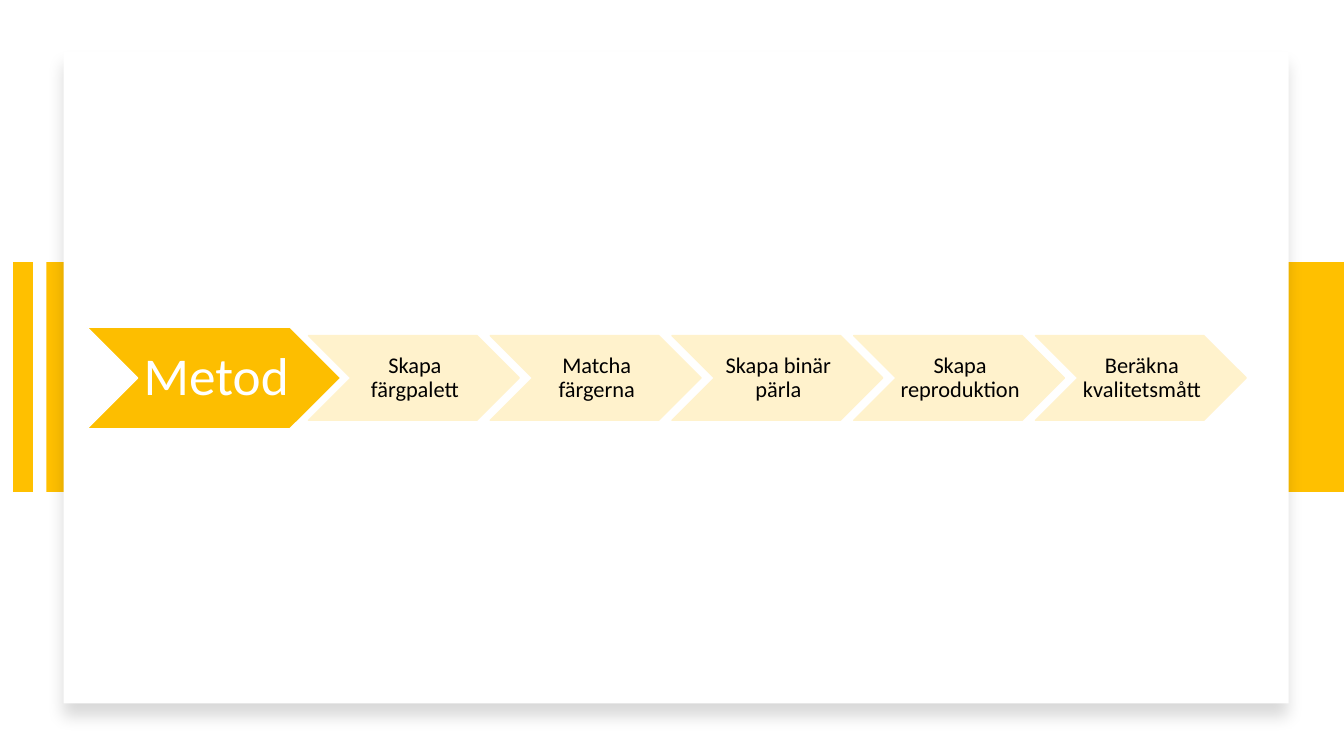
from dataclasses import dataclass
from lxml import etree
from pptx import Presentation
from pptx.dml.color import RGBColor as RGB
from pptx.enum.shapes import MSO_CONNECTOR as CONN, MSO_SHAPE as SHAPE
from pptx.enum.text import MSO_ANCHOR as ANCHOR, PP_ALIGN as ALIGN
from pptx.oxml import parse_xml
from pptx.oxml.ns import nsdecls, qn
from pptx.util import Inches, Pt

# Content
HEADING = "Metod"
STEPS = [
    "Skapa färgpalett",
    "Matcha färgerna",
    "Skapa binär pärla",
    "Skapa reproduktion",
    "Beräkna kvalitetsmått",
]


@dataclass(frozen=True)
class Theme:
    gold: str = "FFC000"
    heading_fill: str = "FDBE00"
    step_fill: str = "FFF2CC"
    white: str = "FFFFFF"
    black: str = "000000"
    font: str = "Calibri"
    heading_size: int = 38
    step_size: int = 16


T = Theme()

# Layout in inches
BAND_TOP, BAND_HEIGHT, BAND_LEFT = 2.6, 2.28, 0.46
STRIPE_X, STRIPE_WIDTH = 0.23, 14
CARD = (0.63, 0.51, 12.15, 6.47)
MIDDLE = 3.75
HEADING_LEFT, HEADING_SIZE = 0.86, (2.52, 1.01)
STEP_LEFT, STEP_PITCH, STEP_SIZE = 3.06, 1.8025, (2.09, 0.84)


def add_box(slide, kind, box, fill, line=None):
    sp = slide.shapes.add_shape(kind, *map(Inches, box))
    sp.shadow.inherit = False
    sp.fill.solid()
    sp.fill.fore_color.rgb = RGB.from_string(fill)
    if line:
        sp.line.color.rgb = RGB.from_string(line)
        sp.line.width = Pt(1)
    else:
        sp.line.fill.background()
    return sp


def set_text(sp, text, *, size, color, inset_x, inset_y):
    tf = sp.text_frame
    tf.word_wrap = True
    tf.vertical_anchor = ANCHOR.MIDDLE
    tf.margin_left, tf.margin_right = Inches(inset_x), 0
    tf.margin_top = tf.margin_bottom = Inches(inset_y)
    p = tf.paragraphs[0]
    p.alignment = ALIGN.CENTER
    p.line_spacing = 0.9
    r = p.add_run()
    r.text = text
    r.font.name = T.font
    r.font.size = Pt(size)
    r.font.color.rgb = RGB.from_string(color)


def add_chevron(slide, left, size, fill, line):
    width, height = size
    box = (left, MIDDLE - height / 2, width, height)
    return add_box(slide, SHAPE.CHEVRON, box, fill, line)


def add_soft_shadow(sp):
    effects = sp._element.spPr.find(qn("a:effectLst"))
    effects.append(parse_xml(
        f'<a:outerShdw {nsdecls("a")} blurRad="{Pt(11)}" dist="{Pt(10)}" '
        f'dir="5400000" algn="t" rotWithShape="0"><a:srgbClr val="{T.black}">'
        '<a:alpha val="15000"/></a:srgbClr></a:outerShdw>'))


def main():
    prs = Presentation()
    prs.slide_width, prs.slide_height = Inches(13.33), Inches(7.5)
    slide = prs.slides.add_slide(prs.slide_layouts[6])

    # Gold band and stripe
    add_box(slide, SHAPE.RECTANGLE,
            (BAND_LEFT, BAND_TOP, 13.33 - BAND_LEFT, BAND_HEIGHT), T.gold)
    x = Inches(STRIPE_X)
    stripe = slide.shapes.add_connector(
        CONN.STRAIGHT, x, Inches(BAND_TOP), x, Inches(BAND_TOP + BAND_HEIGHT))
    stripe.line.color.rgb = RGB.from_string(T.gold)
    stripe.line.width = Pt(STRIPE_WIDTH)
    etree.SubElement(stripe._element.spPr, qn("a:effectLst"))

    # White card
    add_soft_shadow(add_box(slide, SHAPE.RECTANGLE, CARD, T.white))

    # Heading chevron
    sp = add_chevron(slide, HEADING_LEFT, HEADING_SIZE, T.heading_fill, T.white)
    set_text(sp, HEADING, size=T.heading_size, color=T.white,
             inset_x=0.05, inset_y=0.03)

    # Step chevrons
    for i, step in enumerate(STEPS):
        sp = add_chevron(slide, STEP_LEFT + i * STEP_PITCH, STEP_SIZE,
                         T.step_fill, T.step_fill)
        set_text(sp, step, size=T.step_size, color=T.black,
                 inset_x=0.02, inset_y=0.01)

    prs.save("out.pptx")


if __name__ == "__main__":
    main()
